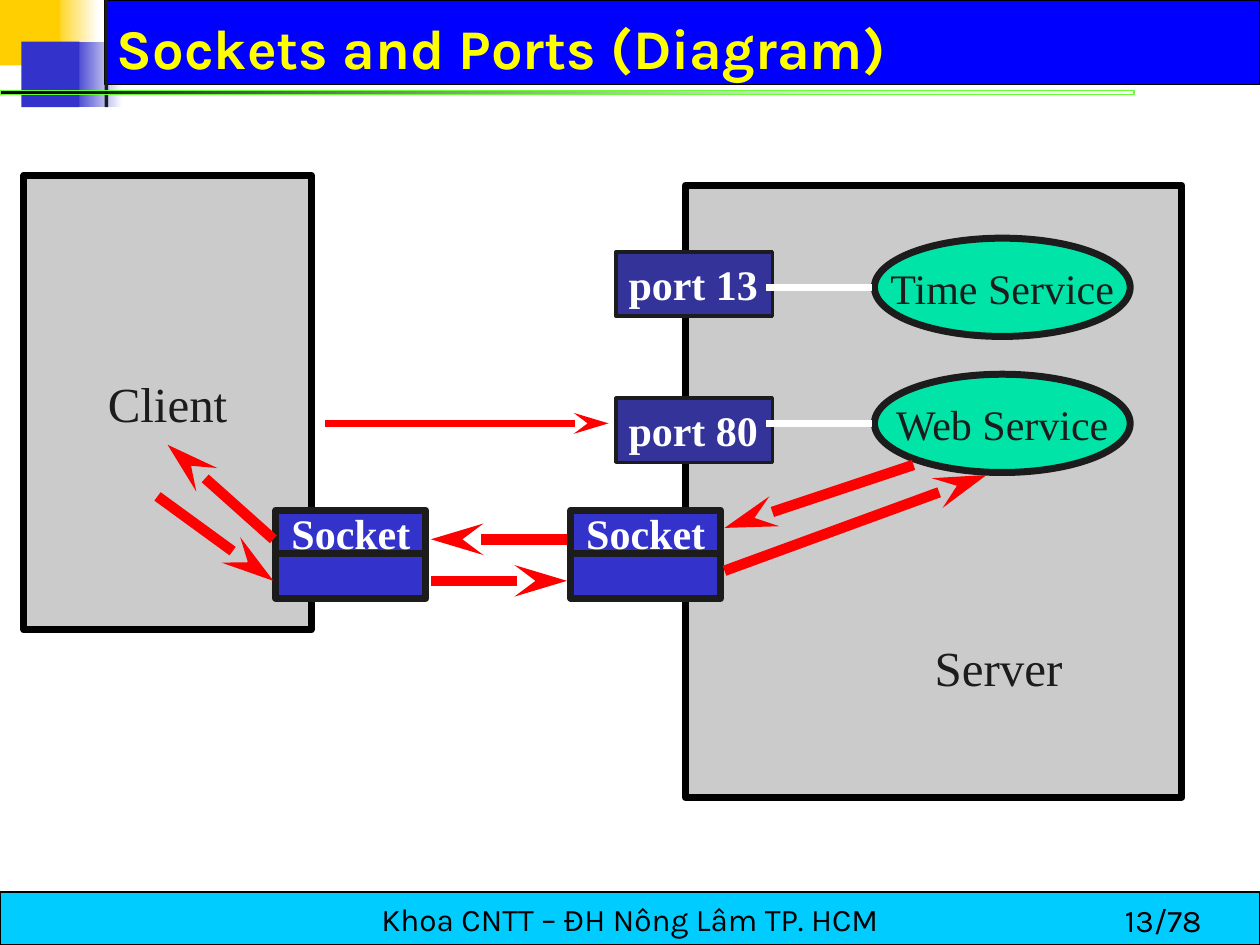
from dataclasses import dataclass
from lxml.etree import SubElement
from pptx import Presentation
from pptx.dml.color import RGBColor
from pptx.enum.shapes import MSO_CONNECTOR, MSO_SHAPE
from pptx.enum.text import MSO_ANCHOR, MSO_AUTO_SIZE, PP_ALIGN
from pptx.oxml.ns import qn
from pptx.util import Inches, Pt


@dataclass(frozen=True)
class Theme:
    """Colours, fonts and type sizes."""
    ink: str = "1C1C1C"
    black: str = "000000"
    white: str = "FFFFFF"
    gold: str = "FFCF01"
    indigo: str = "3333CC"
    banner: str = "0000FF"
    title: str = "FFFF00"
    rule: str = "66FF33"
    footer: str = "00CCFF"
    machine: str = "CBCBCB"
    port: str = "333399"
    service: str = "00E4A8"
    arrow: str = "FF0000"
    sans: str = "Karla"
    serif: str = "Times New Roman"
    title_size: int = 32
    machine_size: int = 28
    label_size: int = 24
    footer_size: int = 18


T = Theme()
RECT, OVAL = MSO_SHAPE.RECTANGLE, MSO_SHAPE.OVAL

# Content: boxes are (left, top, width, height), points are (x, y)
TITLE = "Sockets and Ports (Diagram)"
FOOTER = "Khoa CNTT – ĐH Nông Lâm TP. HCM"
PAGE = "13/78"
DECOR = [
    ((0.42, 0, 0.36, 0.52), (T.gold, T.white), None),
    ((0.57, 0.33, 0.4, 0.52), (T.indigo, T.white), None),
    ((0.83, 0, 9.17, 0.67), T.banner, (T.black, 0.75)),
    ((0, 0, 0.48, 0.52), T.gold, None),
    ((0.17, 0.33, 0.46, 0.52), T.indigo, None),
    ((0.83, 0, 0.03, 0.85), T.ink, None),
]
PORTS = [("port 13", 2), ("port 80", 3.16)]
SERVICES = [("Time Service", 2.28), ("Web Service", 3.36)]
SOCKET_LEFTS = [2.19, 4.53]
SOCKET_ROWS = [("Socket", 4.05), ("", 4.39)]
REQUEST = ((2.58, 3.36), (4.83, 3.36))
TRAFFIC = [
    ((2.17, 4.28), (1.33, 3.53)),
    ((1.25, 3.94), (2.17, 4.61)),
    ((4.5, 4.28), (3.42, 4.28)),
    ((3.42, 4.61), (4.5, 4.61)),
    ((7.25, 3.69), (5.75, 4.19)),
    ((5.75, 4.53), (7.83, 3.77)),
]

deck = Presentation()
deck.slide_width, deck.slide_height = Inches(10), Inches(7.5)
slide = deck.slides.add_slide(deck.slide_layouts[6])


def rgb(code):
    """Turn RRGGBB into a colour."""
    return RGBColor.from_string(code)


def write(shape, text, size, color, font=T.serif, bold=False, align=PP_ALIGN.CENTER,
          anchor=MSO_ANCHOR.MIDDLE, wrap=False, grow=False):
    """Put one styled line of text into a shape."""
    frame = shape.text_frame
    frame.text = text
    frame.word_wrap = wrap
    frame.vertical_anchor = anchor
    frame.auto_size = MSO_AUTO_SIZE.SHAPE_TO_FIT_TEXT if grow else MSO_AUTO_SIZE.NONE
    paragraph = frame.paragraphs[0]
    paragraph.alignment = align
    for run in paragraph.runs:
        run.font.name, run.font.size, run.font.bold = font, Pt(size), bold
        run.font.color.rgb = rgb(color)


def block(box, fill, line=None, kind=RECT):
    """Add a shape; a pair of colours as fill makes a left-to-right gradient."""
    shape = slide.shapes.add_shape(kind, *map(Inches, box))
    shape.shadow.inherit = False
    if isinstance(fill, tuple):
        shape.fill.gradient()
        shape.fill.gradient_angle = 0
        for stop, color in zip(shape.fill.gradient_stops, fill):
            stop.color.rgb = rgb(color)
    else:
        shape.fill.solid()
        shape.fill.fore_color.rgb = rgb(fill)
    if line:
        shape.line.color.rgb, shape.line.width = rgb(line[0]), Pt(line[1])
    else:
        shape.line.fill.background()
    return shape


def label(box, text, size, color, **style):
    """Add a left-aligned text box."""
    shape = slide.shapes.add_textbox(*map(Inches, box))
    write(shape, text, size, color, align=PP_ALIGN.LEFT, **style)


def link(start, end, color, width, arrow=True):
    """Draw a line, by default with an arrowhead at its end."""
    line = slide.shapes.add_connector(MSO_CONNECTOR.STRAIGHT, *map(Inches, start + end))
    line.line.color.rgb, line.line.width = rgb(color), Pt(width)
    if arrow:
        SubElement(line.line._get_or_add_ln(), qn("a:tailEnd"),
                   type="stealth", w="med", len="lg")
    SubElement(line._element.spPr, qn("a:effectLst"))


# Header and footer
for box, fill, line in DECOR:
    block(box, fill, line)
rule = block((0, 0.72, 9, 0.03), (T.black, T.rule), (T.rule, 0))
last_stop = rule._element.spPr.findall(".//" + qn("a:srgbClr"))[1]
SubElement(last_stop, qn("a:alpha"), val="0")
write(block((0, 7.08, 10, 0.42), T.footer, (T.black, 0.75)),
      FOOTER, T.footer_size, T.black, T.sans)
label((8.83, 7.1, 1.17, 0.4), PAGE, T.footer_size, T.black,
      font=T.sans, anchor=MSO_ANCHOR.TOP, wrap=True)
label((0.83, 0.08, 8.94, 0.58), TITLE, T.title_size, T.title,
      font=T.sans, bold=True, wrap=True)

# Machines
client = block((0.19, 1.39, 2.28, 3.61), T.machine, (T.black, 4))
write(client, "Client", T.machine_size, T.ink)
block((5.44, 1.47, 3.94, 4.86), T.machine, (T.black, 4))
label((7.32, 5.01, 1.23, 0.57), "Server", T.machine_size, T.ink,
      anchor=MSO_ANCHOR.TOP, grow=True)

# Ports, services and the lines between them
for name, top in PORTS:
    port = block((4.89, top, 1.24, 0.51), T.port, (T.ink, 2))
    write(port, name, T.label_size, T.white, bold=True, align=PP_ALIGN.LEFT,
          anchor=MSO_ANCHOR.TOP, grow=True)
for name, middle in SERVICES:
    service = block((6.94, middle - 0.39, 2.03, 0.78), T.service, (T.ink, 4), OVAL)
    write(service, name, T.label_size, T.ink)
    link((6.08, middle), (6.92, middle), T.white, 4, arrow=False)

# Sockets
for left in SOCKET_LEFTS:
    for name, top in SOCKET_ROWS:
        socket = block((left, top, 1.19, 0.36), T.indigo, (T.ink, 4))
        if name:
            write(socket, name, T.label_size, T.white, bold=True)

# Traffic
link(*REQUEST, T.arrow, 4)
for start, end in TRAFFIC:
    link(start, end, T.arrow, 6)

deck.save("out.pptx")
